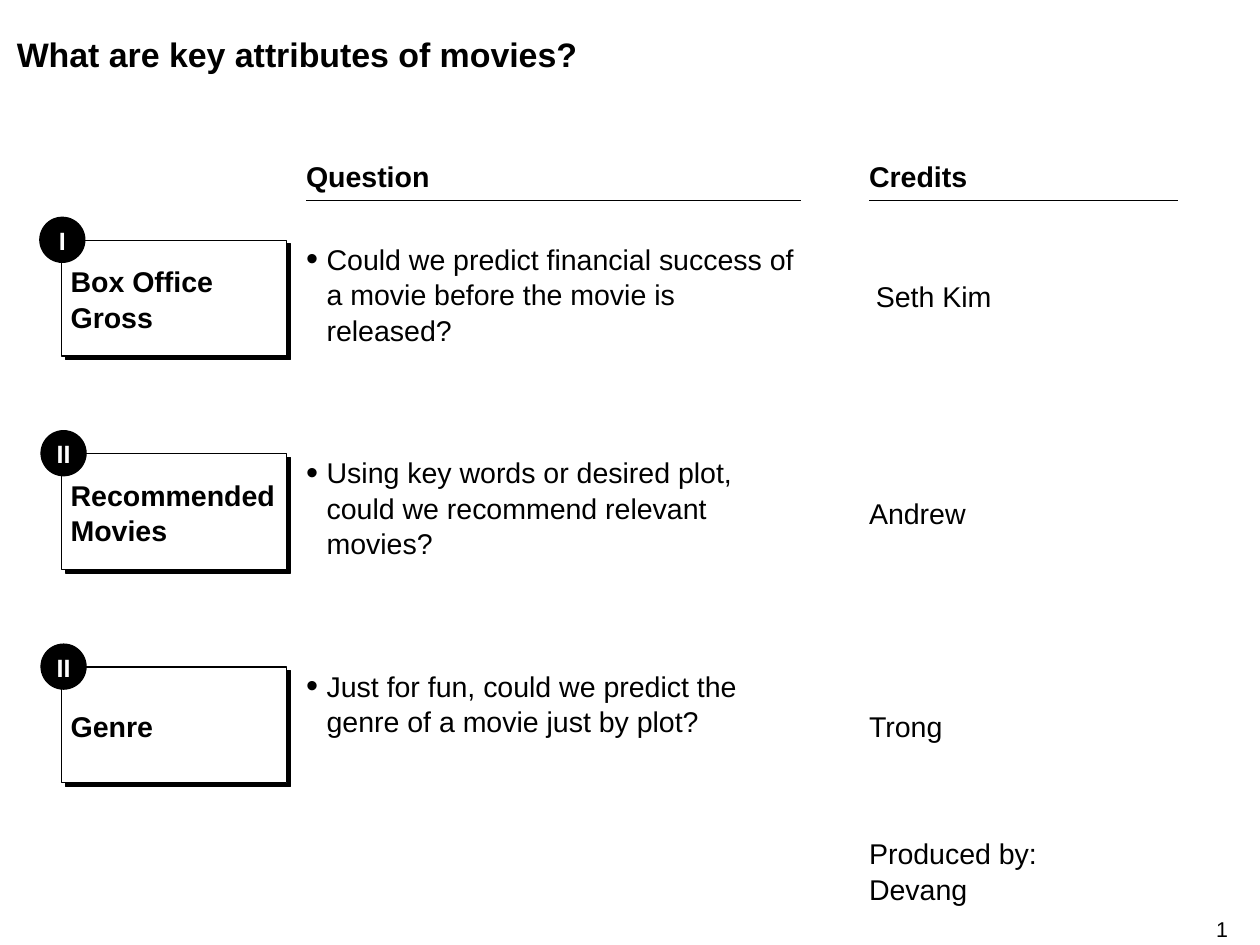
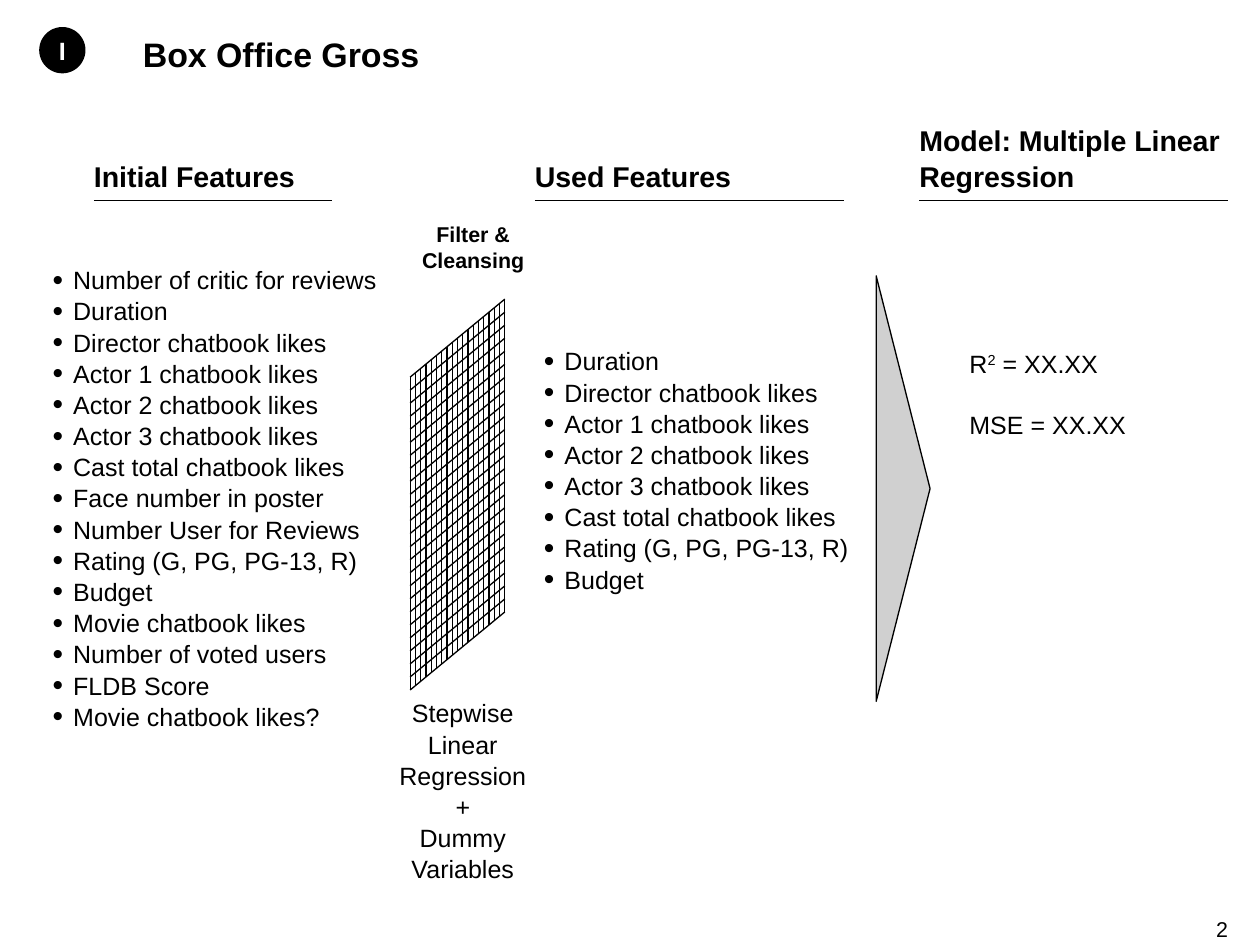
from lxml import etree
from pptx import Presentation
from pptx import util as u
from pptx.dml import color
from pptx.enum import shapes, text
from pptx.oxml import ns

Pt = u.Pt
COLORS = {"ink": "000000", "paper": "FFFFFF", "arrow": "D0D0D0"}
RGB = {name: color.RGBColor.from_string(value) for name, value in COLORS.items()}
LEFT, CENTER, RIGHT = text.PP_ALIGN.LEFT, text.PP_ALIGN.CENTER, text.PP_ALIGN.RIGHT
TOP, MIDDLE, BOTTOM = text.MSO_ANCHOR.TOP, text.MSO_ANCHOR.MIDDLE, text.MSO_ANCHOR.BOTTOM


def write(sp, lines, size, bold=False, align=LEFT, anchor=TOP, ink="ink",
          bullet=False, wrap=True, gap=0):
    tf = sp.text_frame
    tf.word_wrap = wrap
    tf.vertical_anchor = anchor
    tf.margin_left = tf.margin_right = tf.margin_top = tf.margin_bottom = 0
    for i, line in enumerate(lines):
        p = tf.add_paragraph() if i else tf.paragraphs[0]
        p.alignment = align
        p.line_spacing = 1.04
        p.space_before = Pt(gap if i else 0)
        if bullet:
            pPr = p._p.get_or_add_pPr()
            pPr.set("marL", str(Pt(11.5)))
            pPr.set("indent", str(-Pt(11.5)))
            etree.SubElement(pPr, ns.qn("a:buSzPct"), val="120000")
            etree.SubElement(pPr, ns.qn("a:buFont"), typeface="Arial")
            etree.SubElement(pPr, ns.qn("a:buChar"), char="•")
        for k, part in enumerate(line.split("^")):
            r = p.add_run()
            r.text = part
            r.font.name, r.font.size, r.font.bold = "Arial", Pt(size), bold
            r.font.color.rgb = RGB[ink]
            if k % 2:
                r.font._element.set("baseline", "30000")


def rule(s, x1, y1, x2, y2):
    c = s.shapes.add_connector(shapes.MSO_CONNECTOR.STRAIGHT, Pt(x1), Pt(y1), Pt(x2), Pt(y2))
    c.line.color.rgb = RGB["ink"]
    c.line.width = Pt(0.75)
    etree.SubElement(c._element.spPr, ns.qn("a:effectLst"))


prs = Presentation()
prs.slide_width, prs.slide_height = Pt(705.6), Pt(529.2)
overview, model = [prs.slides.add_slide(prs.slide_layouts[6]) for _ in range(2)]

ROW_TOP, ROW_PITCH = 134.6, 119.5
topics = [
    (["Box Office Gross"],
     "Could we predict financial success of a movie before the movie is released?"),
    (["Recommended", "Movies"],
     "Using key words or desired plot, could we recommend relevant movies?"),
    (["Genre"], "Just for fun, could we predict the genre of a movie just by plot?"),
]
for i, (topic, question) in enumerate(topics):
    y = ROW_TOP + i * ROW_PITCH
    sp = overview.shapes.add_shape(shapes.MSO_SHAPE.RECTANGLE, Pt(34.6), Pt(y), Pt(126), Pt(64.8))
    sp.fill.solid()
    sp.fill.fore_color.rgb = RGB["paper"]
    sp.line.color.rgb = RGB["ink"]
    sp.line.width = Pt(0.75)
    effects = etree.SubElement(sp._element.spPr, ns.qn("a:effectLst"))
    shadow = etree.SubElement(effects, ns.qn("a:outerShdw"), dist=str(Pt(2.8)),
                              dir="2700000", algn="ctr", rotWithShape="0")
    etree.SubElement(shadow, ns.qn("a:srgbClr"), val=COLORS["ink"])
    sp = overview.shapes.add_textbox(Pt(39.6), Pt(y + 2.6), Pt(116), Pt(59.8))
    write(sp, topic, 16, bold=True, anchor=MIDDLE)
    sp = overview.shapes.add_textbox(Pt(171.4), Pt(y), Pt(276.8), Pt(58))
    write(sp, [question], 16, bullet=True)

credits = [
    (490.5, 155.5, ["Seth Kim"]),
    (486.7, 277.2, ["Andrew"]),
    (486.7, 396, ["Trong"]),
    (486.7, 467.3, ["Produced by:", "Devang"]),
]
for x, y, lines in credits:
    sp = overview.shapes.add_textbox(Pt(x), Pt(y), Pt(100.8), Pt(19.4 * len(lines)))
    write(sp, lines, 16)

shared = ["Duration", "Director chatbook likes", "Actor 1 chatbook likes",
          "Actor 2 chatbook likes", "Actor 3 chatbook likes", "Cast total chatbook likes"]
rating = "Rating (G, PG, PG-13, R)"
initial = ["Number of critic for reviews", *shared, "Face number in poster",
           "Number User for Reviews", rating, "Budget", "Movie chatbook likes",
           "Number of voted users", "FLDB Score", "Movie chatbook likes?"]
for x, y, features in [(29.5, 147.6, initial), (304.6, 193, [*shared, rating, "Budget"])]:
    sp = model.shapes.add_textbox(Pt(x), Pt(y), Pt(184.3), Pt(16.8 * len(features)))
    write(sp, features, 14, bullet=True)

MESH_LEFT, MESH_TOP, MESH_W, MESH_H, RISE = 229.7, 211.2, 53, 175.2, 43.7
ROWS, COLS = 24, 18
for i in range(ROWS + 1):
    y = MESH_TOP + i * MESH_H / ROWS
    rule(model, MESH_LEFT, y, MESH_LEFT + MESH_W, y - RISE)
for i in range(COLS + 1):
    x, y = MESH_LEFT + i * MESH_W / COLS, MESH_TOP - i * RISE / COLS
    rule(model, x, y, x, y + MESH_H)

sp = model.shapes.add_textbox(Pt(214.6), Pt(123.1), Pt(100.8), Pt(29))
write(sp, ["Filter &", "Cleansing"], 12, bold=True, align=CENTER)
sp = model.shapes.add_textbox(Pt(208.8), Pt(390.2), Pt(100.8), Pt(101))
write(sp, ["Stepwise", "Linear", "Regression", "+", "Dummy", "Variables"], 14, align=CENTER)

sp = model.shapes.add_shape(shapes.MSO_SHAPE.ISOSCELES_TRIANGLE,
                            Pt(386.6), Pt(258.5), Pt(238.3), Pt(30.2))
sp.rotation = 90
sp.shadow.inherit = False
sp.fill.solid()
sp.fill.fore_color.rgb = RGB["arrow"]
sp.line.color.rgb = RGB["ink"]
sp.line.width = Pt(0.75)

sp = model.shapes.add_textbox(Pt(542.9), Pt(194.4), Pt(100.8), Pt(51))
write(sp, ["R^2^ = XX.XX", "MSE = XX.XX"], 14, gap=16.8)

frames = [
    (overview, 9.4, "What are key attributes of movies?",
     [("Question", 171.4, 277.2), ("Credits", 486.7, 173)],
     [("I", 22.3, 121.7), ("II", 23, 121.7 + ROW_PITCH), ("II", 23, 121.7 + 2 * ROW_PITCH)]),
    (model, 80, "Box Office Gross",
     [("Initial Features", 52.6, 133.6), ("Used Features", 299.5, 173),
      ("Model: Multiple Linear Regression", 514.8, 173)],
     [("I", 22.3, 15.5)]),
]
for number, (s, left, title, headings, badges) in enumerate(frames, 1):
    sp = s.shapes.add_textbox(Pt(left), Pt(18), Pt(688.4 - left), Pt(23))
    write(sp, [title], 19, bold=True)
    sp = s.shapes.add_textbox(Pt(540.7), Pt(512.6), Pt(147), Pt(14.4))
    write(sp, [str(number)], 12, align=RIGHT)
    for heading, x, w in headings:
        rule(s, x, 112.3, x + w, 112.3)
        sp = s.shapes.add_textbox(Pt(x), Pt(69), Pt(w), Pt(39))
        write(sp, [heading], 16, bold=True, anchor=BOTTOM)
    for numeral, x, y in badges:
        sp = s.shapes.add_shape(shapes.MSO_SHAPE.OVAL, Pt(x), Pt(y), Pt(25.2), Pt(25.2))
        sp.shadow.inherit = False
        sp.fill.solid()
        sp.fill.fore_color.rgb = RGB["ink"]
        sp.line.color.rgb = RGB["ink"]
        sp.line.width = Pt(0.75)
        write(sp, [numeral], 14, bold=True, align=CENTER, anchor=MIDDLE, ink="paper", wrap=False)

prs.save("out.pptx")
